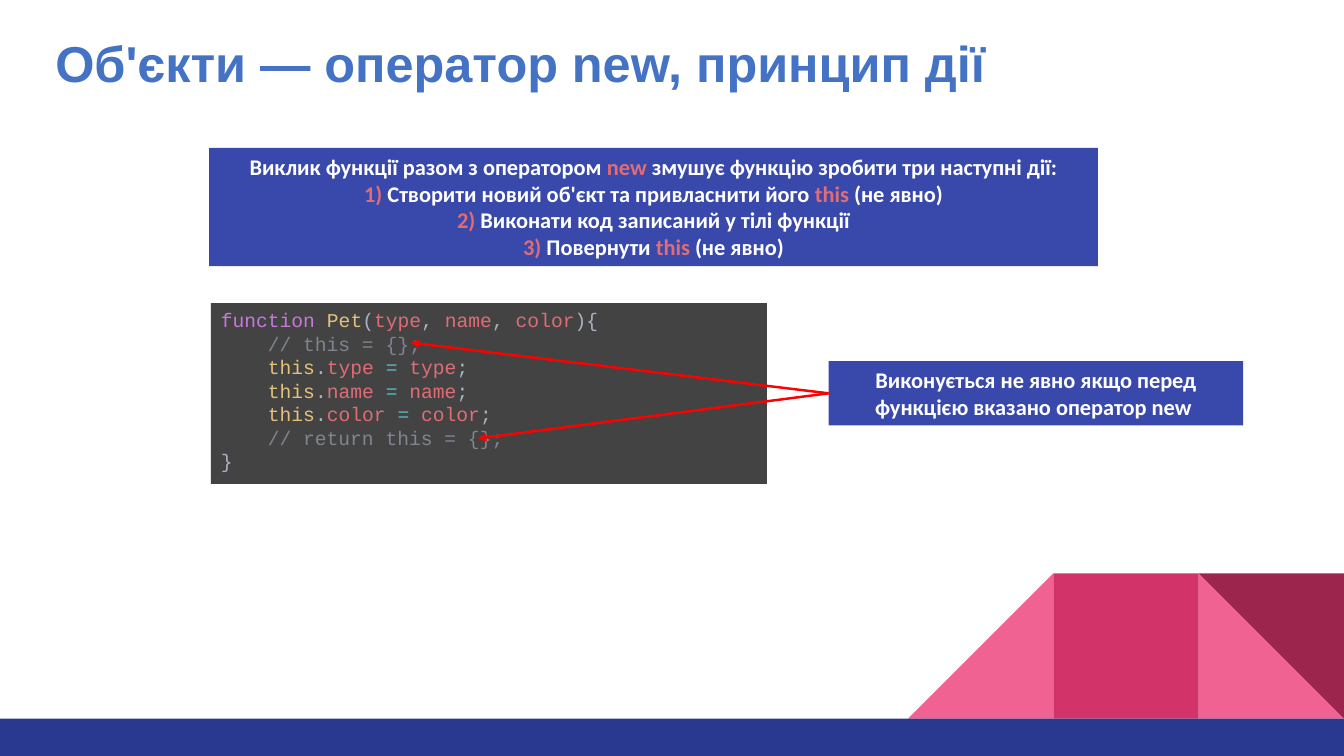
from lxml import etree
from pptx import Presentation, util as u
from pptx.dml.color import RGBColor
from pptx.enum import shapes, text
from pptx.oxml import ns

SLIDE_WIDTH, SLIDE_HEIGHT = u.Inches(13.33), u.Inches(7.5)
COLUMNS, ROWS = 160, 90
WHITE, TITLE_BLUE, BOX_BLUE, FOOTER_BLUE = "FFFFFF", "4472C4", "3949AB", "2A3990"
PINK, RASPBERRY, BURGUNDY, ARROW_RED = "F06292", "D23369", "9C254D", "FF0000"
CODE_BACKGROUND, KEYWORD, NAME = "434343", "C678DD", "E5C07B"
VARIABLE, OPERATOR, PLAIN, REMARK = "E06C75", "56B6C2", "ABB2BF", "7F848E"
TILE, TILE_TOP, FOOTER_TOP = 17.3, 68.25, 85.55
CODE_INDENT = u.Pt(33.6)


def color(value):
    return RGBColor.from_string(value)


def column(count):
    return round(SLIDE_WIDTH * count / COLUMNS)


def row(count):
    return round(SLIDE_HEIGHT * count / ROWS)


def add_block(slide, kind, left, top, width, height, fill):
    shape = slide.shapes.add_shape(kind, column(left), row(top), column(width), row(height))
    shape.shadow.inherit = False
    shape.fill.solid()
    shape.fill.fore_color.rgb = color(fill)
    shape.line.fill.background()
    return shape


def add_text_box(slide, place, fill, lines, font, size, bold=False,
                 alignment=text.PP_ALIGN.CENTER, anchor=text.MSO_ANCHOR.TOP):
    shape = add_block(slide, shapes.MSO_SHAPE.RECTANGLE, *place, fill)
    frame = shape.text_frame
    frame.word_wrap = True
    frame.vertical_anchor = anchor
    for index, line in enumerate(lines):
        paragraph = frame.add_paragraph() if index else frame.paragraphs[0]
        paragraph.alignment = alignment
        for words, tint in line:
            run = paragraph.add_run()
            run.text = words
            run.font.name, run.font.size, run.font.bold = font, u.Pt(size), bold
            run.font.color.rgb = color(tint)
    return shape


def add_arrow(slide, start, end):
    connector = slide.shapes.add_connector(
        shapes.MSO_CONNECTOR.STRAIGHT,
        column(start[0]), row(start[1]), column(end[0]), row(end[1]))
    connector.line.color.rgb = color(ARROW_RED)
    connector.line.width = u.Pt(1.75)
    head = etree.SubElement(connector.line._get_or_add_ln(), ns.qn("a:tailEnd"))
    head.set("type", "triangle")
    etree.SubElement(connector._element.spPr, ns.qn("a:effectLst"))


def add_decoration(slide):
    triangle, rectangle = shapes.MSO_SHAPE.RIGHT_TRIANGLE, shapes.MSO_SHAPE.RECTANGLE
    left, middle, right = (COLUMNS - TILE * count for count in (3, 2, 1))
    add_block(slide, triangle, right, TILE_TOP, TILE, TILE, PINK)
    slope = add_block(slide, triangle, left, TILE_TOP, TILE, TILE, PINK)
    slope._element.spPr.xfrm.set("flipH", "1")
    add_block(slide, rectangle, middle, TILE_TOP, TILE, TILE, RASPBERRY)
    add_block(slide, triangle, right, TILE_TOP, TILE, TILE, BURGUNDY).rotation = 180
    add_block(slide, rectangle, 0, FOOTER_TOP, COLUMNS, ROWS - FOOTER_TOP, FOOTER_BLUE)


def add_title(slide):
    title = add_text_box(
        slide, (5.4, 2.5, 149, 10.7), WHITE,
        [[("Об'єкти — оператор new, принцип дії", TITLE_BLUE)]], "Arial", 36, True,
        text.PP_ALIGN.LEFT, text.MSO_ANCHOR.MIDDLE)
    title.text_frame.paragraphs[0].line_spacing = 0.9


def add_steps(slide):
    lines = [
        [("Виклик функції разом з оператором ", WHITE), ("new", VARIABLE),
         (" змушує функцію зробити три наступні дії:", WHITE)],
        [("1)", VARIABLE), (" Створити новий об'єкт та привласнити його ", WHITE),
         ("this", VARIABLE), (" (не явно)", WHITE)],
        [("2)", VARIABLE), (" Виконати код записаний у тілі функції", WHITE)],
        [("3)", VARIABLE), (" Повернути ", WHITE), ("this", VARIABLE), (" (не явно)", WHITE)],
    ]
    add_text_box(slide, (24.9, 17.6, 105.8, 14.1), BOX_BLUE, lines, "Calibri", 16, True)


def assignment(field):
    return [("this", NAME), (".", PLAIN), (field + " ", VARIABLE),
            ("= ", OPERATOR), (field, VARIABLE), (";", PLAIN)]


def add_code(slide):
    fields = ["type", "name", "color"]
    header = [("function ", KEYWORD), ("Pet", NAME)]
    for separator, field in zip(["(", ", ", ", "], fields):
        header += [(separator, PLAIN), (field, VARIABLE)]
    header.append(("){", PLAIN))
    body = [[("// this = {};", REMARK)], *map(assignment, fields),
            [("// return this = {};", REMARK)]]
    code = add_text_box(slide, (25.1, 36.1, 66.2, 21.5), CODE_BACKGROUND,
                        [header, *body, [("}", PLAIN)]], "Courier New", 14,
                        alignment=text.PP_ALIGN.LEFT)
    for paragraph in code.text_frame.paragraphs[1:-1]:
        paragraph._p.get_or_add_pPr().set("marL", str(CODE_INDENT))


def add_callout(slide):
    left, top, width, height = place = (98.65, 43, 49.35, 7.65)
    words = "Виконується не явно якщо перед функцією вказано оператор new "
    add_text_box(slide, place, BOX_BLUE, [[(words, WHITE)]], "Calibri", 16, True)
    for target in [(48.9, 40.8), (56.9, 52.2)]:
        add_arrow(slide, (left, top + height / 2), target)


def main():
    presentation = Presentation()
    presentation.slide_width, presentation.slide_height = SLIDE_WIDTH, SLIDE_HEIGHT
    slide = presentation.slides.add_slide(presentation.slide_layouts[6])
    add_decoration(slide)
    add_title(slide)
    add_steps(slide)
    add_code(slide)
    add_callout(slide)
    presentation.save("out.pptx")


if __name__ == "__main__":
    main()
